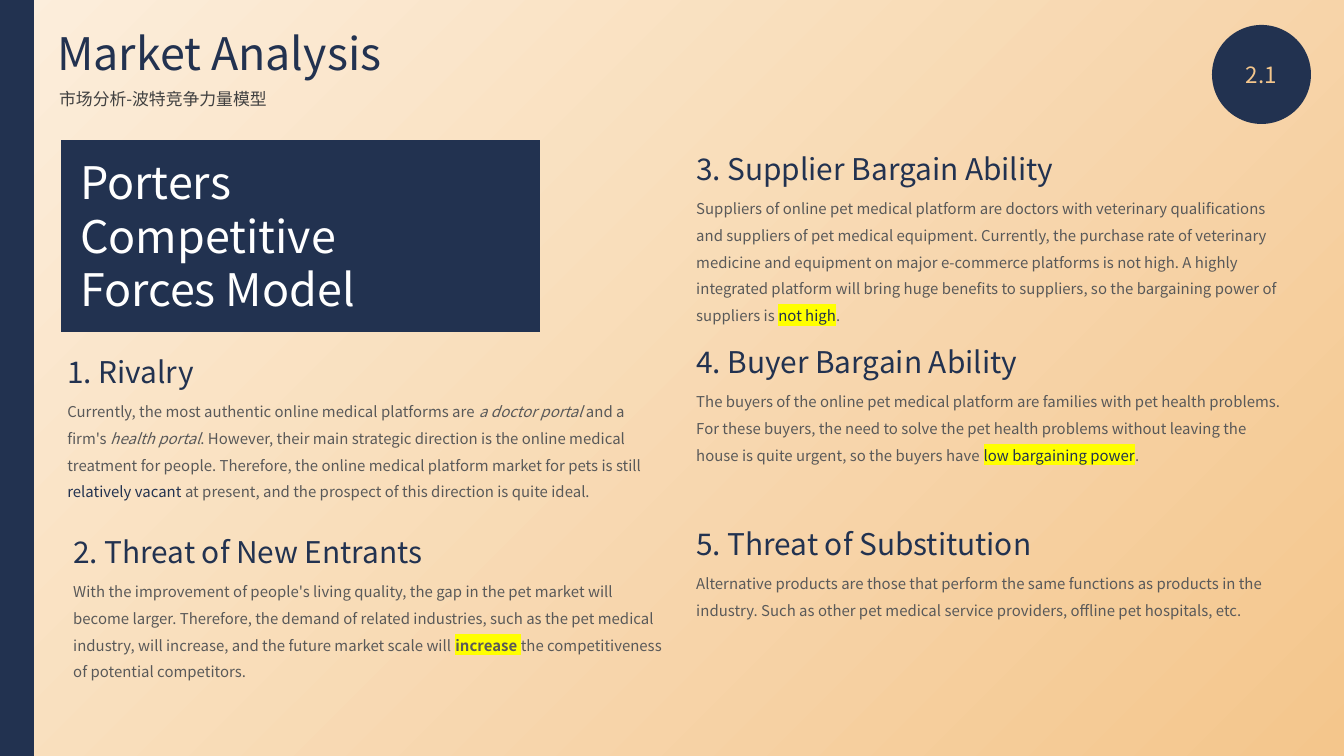
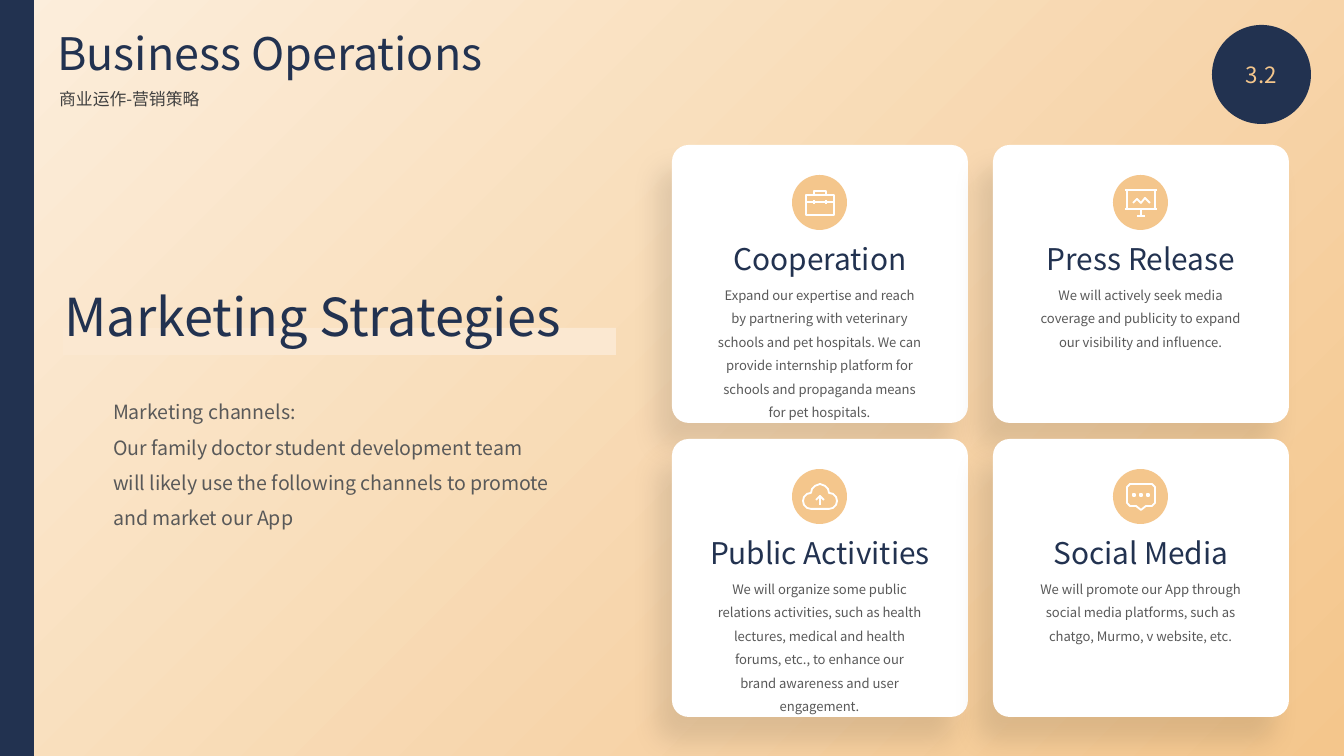
from lxml import etree
from pptx import Presentation
from pptx.dml.color import RGBColor
from pptx.enum.shapes import MSO_CONNECTOR, MSO_SHAPE
from pptx.enum.text import MSO_AUTO_SIZE, PP_ALIGN
from pptx.oxml import parse_xml
from pptx.oxml.ns import nsdecls, qn
from pptx.util import Pt

PX = 914400 / 134.4
FONT = "Noto Sans CJK SC"
NAVY = RGBColor(0x22, 0x32, 0x50)
SAND = RGBColor(0xF4, 0xC6, 0x8C)
CREAM = RGBColor(0xFC, 0xEE, 0xDC)
PALE = RGBColor(0xFB, 0xE8, 0xD1)
WHITE = RGBColor(0xFF, 0xFF, 0xFF)
GREY = RGBColor(0x59, 0x59, 0x59)
DARK = RGBColor(0x40, 0x40, 0x40)
RECT, OVAL, ROUND = MSO_SHAPE.RECTANGLE, MSO_SHAPE.OVAL, MSO_SHAPE.ROUNDED_RECTANGLE
STRAIGHT = MSO_CONNECTOR.STRAIGHT
LEFT, CENTER, JUSTIFY = PP_ALIGN.LEFT, PP_ALIGN.CENTER, PP_ALIGN.JUSTIFY
GROW = MSO_AUTO_SIZE.SHAPE_TO_FIT_TEXT


def add_block(s, kind, box, color):
    sp = s.shapes.add_shape(kind, *[round(v * PX) for v in box])
    sp.shadow.inherit = False
    sp.fill.solid()
    sp.fill.fore_color.rgb = color
    sp.line.fill.background()
    return sp


def add_text(s, box, paragraphs, size, color, align=LEFT, spacing=None, wrap=True):
    sp = s.shapes.add_textbox(*[round(v * PX) for v in box])
    tf = sp.text_frame
    tf.word_wrap = wrap
    tf.auto_size = GROW
    for i, runs in enumerate(paragraphs):
        p = tf.paragraphs[0] if i == 0 else tf.add_paragraph()
        p.alignment = align
        p.line_spacing = spacing
        p.font.name = FONT
        p.font.size = Pt(size)
        p.font.color.rgb = color
        etree.SubElement(p._p.pPr.find(qn("a:defRPr")), qn("a:ea"), typeface=FONT)
        for text, style in [(runs, "")] if isinstance(runs, str) else runs:
            r = p.add_run()
            r.text = text
            if "bold" in style:
                r.font.bold = True
            if "italic" in style:
                r.font.italic = True
            if "navy" in style:
                r.font.color.rgb = NAVY
            if "mark" in style:
                mark = etree.SubElement(r._r.get_or_add_rPr(), qn("a:highlight"))
                etree.SubElement(mark, qn("a:srgbClr"), val="FFFF00")


prs = Presentation()
prs.slide_width = round(1344 * PX)
prs.slide_height = round(756 * PX)

PAGES = [
    ("Market Analysis", "市场分析-波特竞争力量模型", "2.1"),
    ("Business Operations", "商业运作-营销策略", "3.2"),
]
for title, subtitle, number in PAGES:
    s = prs.slides.add_slide(prs.slide_layouts[6])
    fill = s.background.fill
    fill.gradient()
    fill.gradient_angle = 135
    for stop, color in zip(fill.gradient_stops, (SAND, CREAM)):
        stop.color.rgb = color
    add_text(s, (44, 19, 632, 67), [title], 24, NAVY)
    add_text(s, (46, 82, 383, 34), [subtitle], 9, DARK, JUSTIFY)
    add_block(s, RECT, (0, 0, 34, 756), NAVY)
    add_block(s, OVAL, (1212, 25, 99, 99), NAVY)
    add_text(s, (1211, 55, 101, 40), [number], 12, SAND, CENTER)

market, business = prs.slides

add_block(market, RECT, (61, 140, 479, 192), NAVY)
add_text(market, (67, 148, 325, 176), ["Porters", "Competitive", "Forces Model"], 24, WHITE)

FORCES = [
    (54, 347, 122, "1. Rivalry", [
        ("Currently, the most authentic online medical platforms are ", ""),
        ("a doctor portal", "italic"),
        (" and a firm's ", ""),
        ("health portal", "italic"),
        (". However, their main strategic direction is the online medical treatment for "
         "people. Therefore, the online medical platform market for pets is still ", ""),
        ("relatively vacant", "navy"),
        (" at present, and the prospect of this direction is quite ideal.", ""),
    ]),
    (60, 527, 122, "2. Threat of New Entrants", [
        ("With the improvement of people's living quality, the gap in the pet market will "
         "become larger. Therefore, the demand of related industries, such as the pet medical "
         "industry, will increase, and the future market scale will ", ""),
        ("increase", "bold mark"),
        (" ", "mark"),
        ("the competitiveness of potential competitors.", ""),
    ]),
    (683, 144, 149, "3. Supplier Bargain Ability", [
        ("Suppliers of online pet medical platform are doctors with veterinary qualifications "
         "and suppliers of pet medical equipment. Currently, the purchase rate of veterinary "
         "medicine and equipment on major e-commerce platforms is not high. A highly "
         "integrated platform will bring huge benefits to suppliers, so the bargaining power "
         "of suppliers is ", ""),
        ("not high", "navy mark"),
        (".", ""),
    ]),
    (683, 337, 95, "4. Buyer Bargain Ability", [
        ("The buyers of the online pet medical platform are families with pet health problems. "
         "For these buyers, the need to solve the pet health problems without leaving the "
         "house is quite urgent, so the buyers have ", ""),
        ("low bargaining power", "navy mark"),
        (".", ""),
    ]),
    (683, 519, 93, "5. Threat of Substitution",
     "Alternative products are those that perform the same functions as products in the "
     "industry. Such as other pet medical service providers, offline pet hospitals, etc."),
]
for x, y, height, heading, body in FORCES:
    add_text(market, (x, y + 40, 622, height), [body], 8, GREY, spacing=1.5)
    add_text(market, (x, y, 452, 50), [heading], 16, NAVY)

add_block(business, RECT, (63, 328, 553, 27), PALE)
add_text(business, (100, 382, 465, 156), [
    "Marketing channels:",
    "Our family doctor student development team will likely use the following channels to "
    "promote and market our App",
], 10.5, GREY, spacing=1.5)
add_text(business, (51, 278, 589, 77), ["Marketing Strategies"], 28, NAVY)

BRIEFCASE = [
    [(-14, -8), (14, -8), (14, 12), (-14, 12), (-14, -8)],
    [(-6, -8), (-6, -12), (6, -12), (6, -8)],
    [(-14, -1), (14, -1)],
    [(-6, -3), (-6, 1)],
    [(6, -3), (6, 1)],
]
BOARD = [
    [(-16, -13), (16, -13)],
    [(-16, 6), (16, 6)],
    [(-14, -13), (-14, 6)],
    [(14, -13), (14, 6)],
    [(0, 6), (0, 13)],
    [(-4, 13), (4, 13)],
    [(-8, 0), (-4, -4), (0, 0), (4, -5), (9, 0)],
]
CLOUD_SIDE = [(9, 12), (13, 11), (16, 8), (17, 4), (16, 0), (13, -3), (9, -4), (8, -8), (5, -11)]
CLOUD = [
    CLOUD_SIDE + [(0, -13)] + [(-x, y) for x, y in reversed(CLOUD_SIDE)] + CLOUD_SIDE[:1],
    [(-4, 3), (0, -1), (4, 3)],
    [(0, -1), (0, 8)],
]
CHAT = [
    [(-11, -13), (11, -13), (14, -10), (14, 6), (11, 9), (5, 9), (0, 13), (-5, 9), (-11, 9),
     (-14, 6), (-14, -10), (-11, -13)],
] + [[(x - 1, -3), (x + 1, -3), (x + 1, -1), (x - 1, -1), (x - 1, -3)] for x in (-7, 0, 7)]

CARDS = [
    ("Cooperation", 220, BRIEFCASE, 156,
     "Expand our expertise and reach by partnering with veterinary schools and pet hospitals. "
     "We can provide internship platform for schools and propaganda means for pet hospitals."),
    ("Press Release", 234, BOARD, 85,
     "We will actively seek media coverage and publicity to expand our visibility and "
     "influence."),
    ("Public Activities", 271, CLOUD, 156,
     "We will organize some public relations activities, such as health lectures, medical and "
     "health forums, etc., to enhance our brand awareness and user engagement."),
    ("Social Media", 216, CHAT, 85,
     "We will promote our App through social media platforms, such as chatgo, Murmo, "
     "v website, etc."),
]
SHADOW = (
    f'<a:effectLst {nsdecls("a")}><a:outerShdw blurRad="{Pt(14)}" dist="{Pt(15)}" '
    f'dir="{123 * 60000}" algn="ctr" rotWithShape="0"><a:srgbClr val="000000">'
    '<a:alpha val="10000"/></a:srgbClr></a:outerShdw></a:effectLst>'
)
for i, (heading, width, icon, height, body) in enumerate(CARDS):
    x, y = 672 + i % 2 * 321, 145 + i // 2 * 294
    cx, cy = x + 148, y + 58
    card = add_block(business, ROUND, (x, y, 296, 278), WHITE)
    card.adjustments[0] = 0.06
    spPr = card._element.spPr
    spPr.replace(spPr.find(qn("a:effectLst")), parse_xml(SHADOW))
    add_text(business, (x + 31, y + 128, 233, height), [body], 7, GREY, CENTER, 1.5)
    add_text(business, (cx - width / 2, y + 89, width, 50), [heading], 16, NAVY, CENTER, wrap=False)
    add_block(business, OVAL, (x + 120, y + 30, 55, 55), SAND)
    for stroke in icon:
        points = [(cx + dx, cy + dy) for dx, dy in stroke]
        if len(points) == 2:
            ends = [round(v * PX) for point in points for v in point]
            sp = business.shapes.add_connector(STRAIGHT, *ends)
            etree.SubElement(sp._element.spPr, qn("a:effectLst"))
        else:
            outline = business.shapes.build_freeform(*points[0], scale=PX)
            outline.add_line_segments(points[1:], close=points[0] == points[-1])
            sp = outline.convert_to_shape()
            sp.shadow.inherit = False
            sp.fill.background()
        sp.line.color.rgb = WHITE
        sp.line.width = Pt(1)

prs.save("out.pptx")
